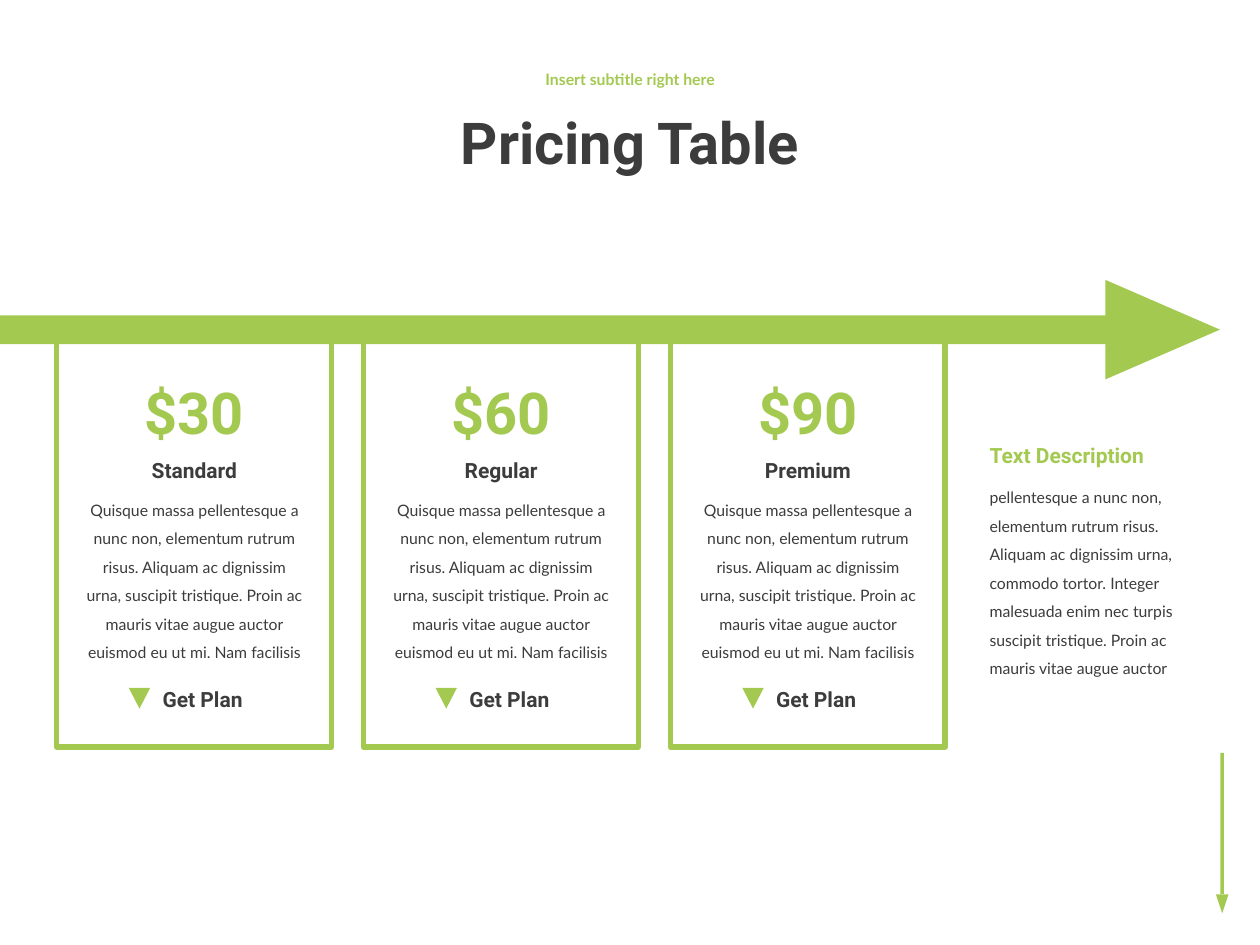
from pptx import Presentation
from pptx.dml.color import RGBColor
from pptx.enum.shapes import MSO_SHAPE as SHAPE
from pptx.enum.text import MSO_ANCHOR as ANCHOR, MSO_AUTO_SIZE as AUTO, PP_ALIGN as ALIGN
from pptx.util import Pt

COLORS = {"green": "A3C951", "dark": "3C3C3C", "white": "FFFFFF"}
TITLE = "Pricing Table"
SUBTITLE = "Insert subtitle right here"
PLANS = [("$30", "Standard"), ("$60", "Regular"), ("$90", "Premium")]
PLAN_TEXT = (
    "Quisque massa pellentesque a nunc non, elementum rutrum risus. "
    "Aliquam ac dignissim urna, suscipit tristique. Proin ac mauris vitae "
    "augue auctor euismod eu ut mi. Nam facilisis"
)
BUTTON = "Get Plan"
SIDE_HEAD = "Text Description"
SIDE_TEXT = (
    "pellentesque a nunc non, elementum rutrum risus. Aliquam ac dignissim "
    "urna, commodo tortor. Integer malesuada enim nec turpis suscipit "
    "tristique. Proin ac mauris vitae augue auctor"
)
HEAD = {"font": "Roboto", "size": 12, "bold": True}
PRICE = {"font": "Roboto", "size": 33, "bold": True, "color": "green"}
BODY = {"font": "Lato", "size": 9, "spacing": 1.5}
CARD_X, CARD_Y, CARD_W, CARD_H, CARD_STEP = 32.4, 186.5, 157, 240.5, 175.3


def rgb(name):
    return RGBColor.from_string(COLORS[name])


def place(sp, box):
    sp.left, sp.top, sp.width, sp.height = (Pt(v) for v in box)


def write(sp, text, font, size, bold=False, color="dark", align=ALIGN.LEFT, spacing=1.0):
    tf = sp.text_frame
    tf.word_wrap = True
    tf.auto_size = AUTO.NONE
    p = tf.paragraphs[0]
    p.alignment = align
    p.line_spacing = spacing
    p.space_before = Pt(0)
    r = p.add_run()
    r.text = text
    r.font.name = font
    r.font.size = Pt(size)
    r.font.bold = bold
    r.font.color.rgb = rgb(color)


def add_text(s, box, text, **style):
    write(s.shapes.add_textbox(*(Pt(v) for v in box)), text, **style)


def add_shape(s, kind, box, fill="green", line=None, rotation=0):
    sp = s.shapes.add_shape(kind, *(Pt(v) for v in box))
    sp.shadow.inherit = False
    sp.rotation = rotation
    sp.fill.solid()
    sp.fill.fore_color.rgb = rgb(fill)
    if line:
        sp.line.color.rgb = rgb(line)
        sp.line.width = Pt(3)
    else:
        sp.line.fill.background()


def add_plan(s, x, price, name):
    center = ALIGN.CENTER
    add_text(s, (x + 32.2, 211.7, 93, 46.8), price, align=center, **PRICE)
    add_text(s, (x + 27.9, 257.8, 101.5, 21.6), name, align=center, **HEAD)
    add_text(s, (x + 9.9, 277.2, 137.5, 121), PLAN_TEXT, align=center, **BODY)
    add_text(s, (x + 53.4, 388.8, 69, 21.6), BUTTON, **HEAD)
    add_shape(s, SHAPE.ISOSCELES_TRIANGLE, (x + 41.2, 393.1, 12.2, 11.8), rotation=180)


def main():
    prs = Presentation()
    prs.slide_width, prs.slide_height = Pt(720), Pt(540)
    s = prs.slides.add_slide(prs.slide_layouts[0])

    title, subtitle = s.placeholders
    for sp, box in ((title, (157.5, 46.1, 405, 74.2)), (subtitle, (157.5, 32.4, 405, 27.4))):
        place(sp, box)
        sp.text_frame.vertical_anchor = ANCHOR.MIDDLE
    write(title, TITLE, "Roboto", 33, True, "dark", ALIGN.CENTER, 0.9)
    write(subtitle, SUBTITLE, "Lato", 9, True, "green", ALIGN.CENTER, 0.9)

    add_shape(s, SHAPE.RECTANGLE, (697.4, 430.2, 2, 80.6))
    add_shape(s, SHAPE.ISOSCELES_TRIANGLE, (694.8, 511, 7.2, 10.8), rotation=180)

    xs = [CARD_X + i * CARD_STEP for i in range(len(PLANS))]
    for x in xs:
        add_shape(s, SHAPE.RECTANGLE, (x, CARD_Y, CARD_W, CARD_H), "white", "green")

    add_shape(s, SHAPE.RECTANGLE, (-15.1, 180.2, 647.3, 16.4))
    add_shape(s, SHAPE.ISOSCELES_TRIANGLE, (636, 155.7, 56.8, 65.4), rotation=90)

    for x, (price, name) in zip(xs, PLANS):
        add_plan(s, x, price, name)

    add_text(s, (558.4, 249.1, 127.5, 21.6), SIDE_HEAD, color="green", **HEAD)
    add_text(s, (558.4, 270, 127.5, 137.5), SIDE_TEXT, **BODY)
    prs.save("out.pptx")


if __name__ == "__main__":
    main()
